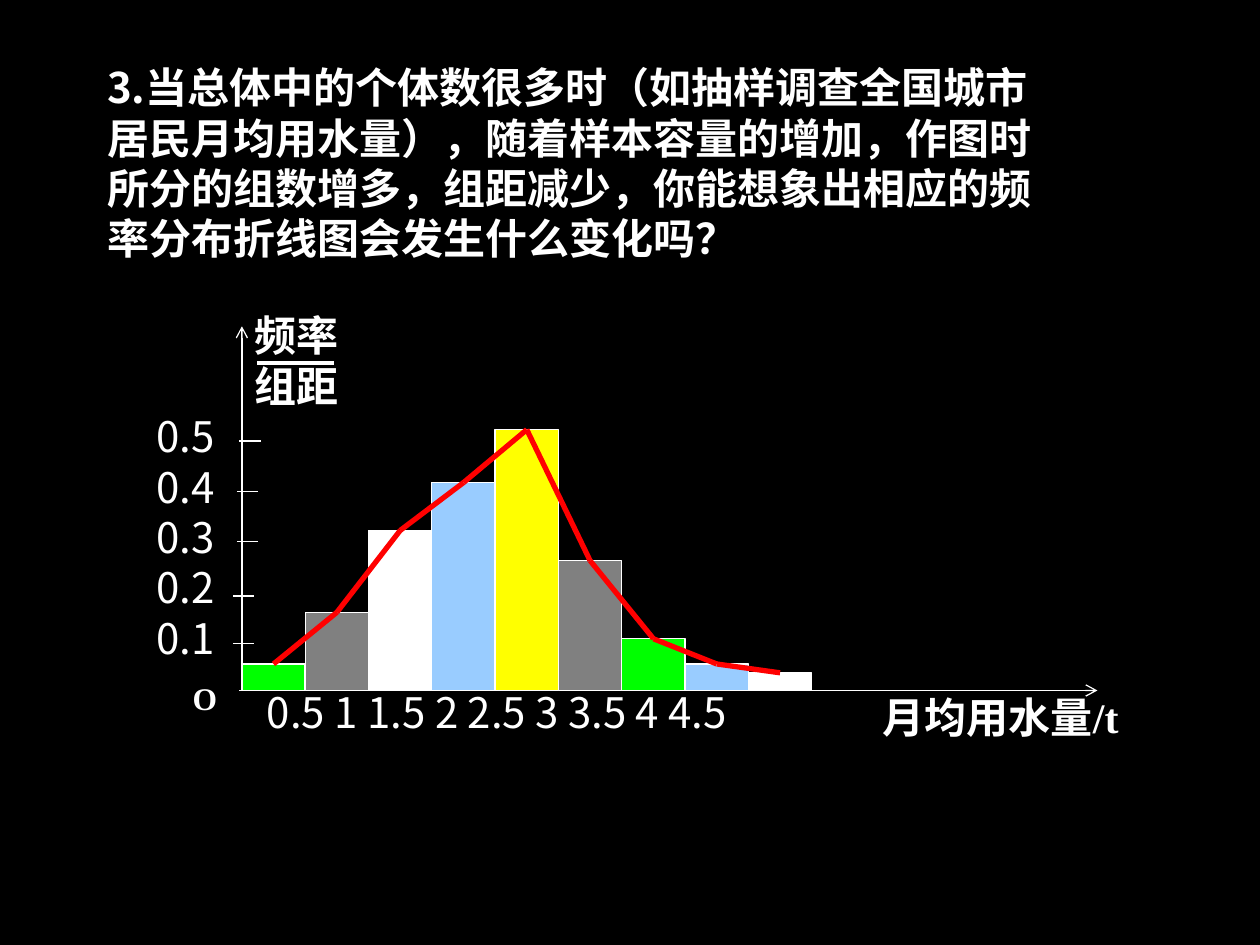
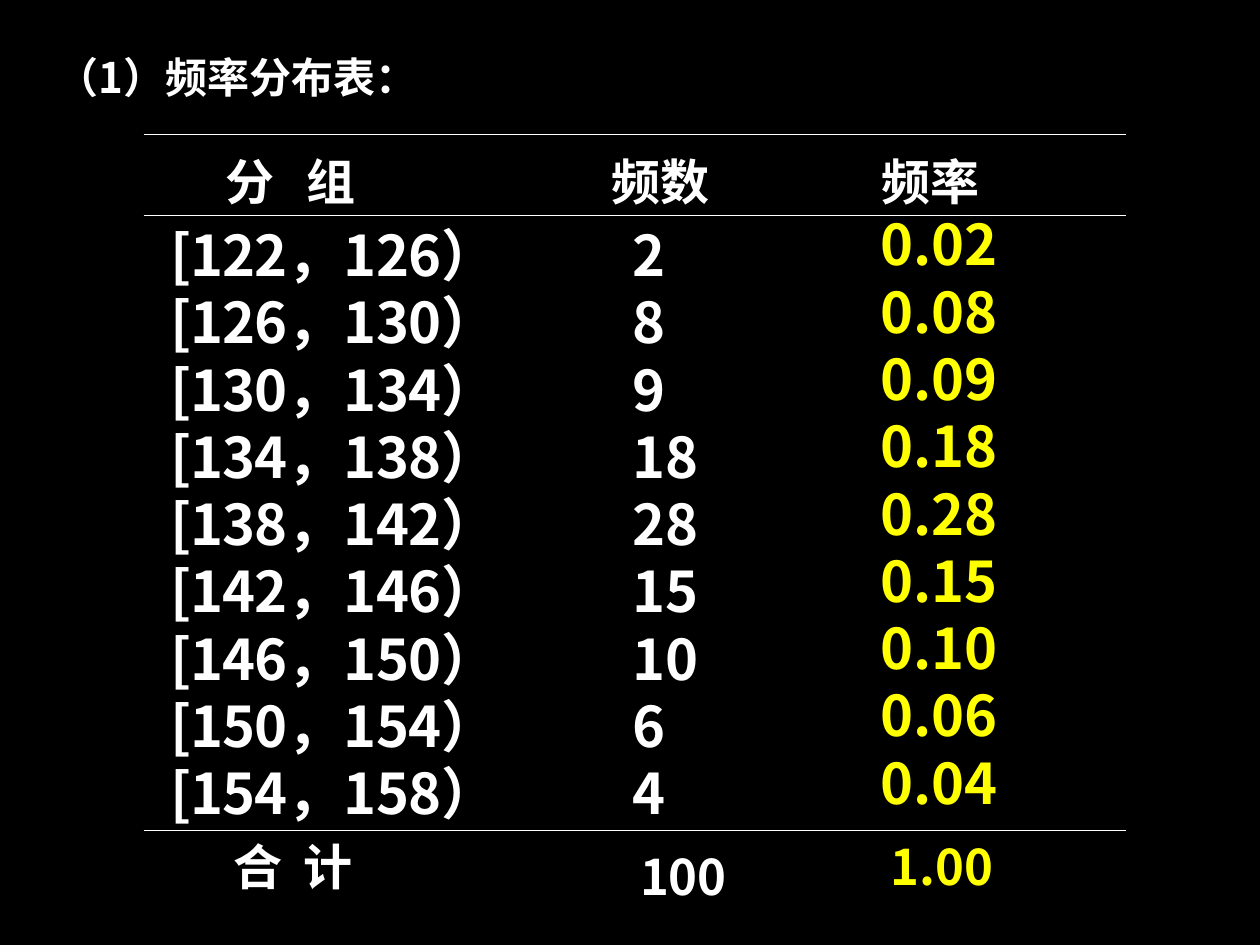
from lxml import etree
from pptx import Presentation
from pptx.dml.color import RGBColor
from pptx.enum.shapes import MSO_CONNECTOR, MSO_SHAPE
from pptx.enum.text import MSO_ANCHOR, MSO_AUTO_SIZE, PP_ALIGN
from pptx.oxml.ns import qn
from pptx.util import Inches, Pt

LINE = MSO_CONNECTOR.STRAIGHT
RECT = MSO_SHAPE.RECTANGLE
TOP, MIDDLE = MSO_ANCHOR.TOP, MSO_ANCHOR.MIDDLE
LEFT = PP_ALIGN.LEFT
FIXED = MSO_AUTO_SIZE.NONE

HUES = {
    "black": "000000", "white": "FFFFFF", "yellow": "FFFF00",
    "blue": "99CCFF", "gray": "808080", "green": "00FF00", "red": "FF0000",
}
SANS, SERIF, ARIAL = "Noto Sans CJK SC", "Times New Roman", "Arial"


def write(frame, lines, size, face=SANS, bold=True, hue="white", gap=0, lead=1.2):
    for i, line in enumerate(lines):
        para = frame.paragraphs[0] if i == 0 else frame.add_paragraph()
        para.alignment = LEFT
        para.line_spacing = Pt(lead * size)
        para.space_before = Pt(0)
        run = para.add_run()
        run.text = line
        run.font.name = face
        run.font.size = Pt(size)
        run.font.bold = bold
        run.font.color.rgb = RGBColor.from_string(HUES[hue])
        if gap:
            run.font._element.set("spc", str(gap))


def draw(slide, x1, y1, x2, y2, width=0.75, hue="white", arrow=False):
    line = slide.shapes.add_connector(
        LINE, Inches(x1), Inches(y1), Inches(x2), Inches(y2))
    line.line.width = Pt(width)
    line.line.color.rgb = RGBColor.from_string(HUES[hue])
    if arrow:
        etree.SubElement(line.line._get_or_add_ln(), qn("a:tailEnd"), type="arrow")
    etree.SubElement(line._element.spPr, qn("a:effectLst"))
    return line


prs = Presentation()
prs.slide_width = Inches(10)
prs.slide_height = Inches(7.5)
back = prs.slide_master.background.fill
back.solid()
back.fore_color.rgb = RGBColor.from_string(HUES["black"])

heads = [
    ("3.当总体中的个体数很多时（如抽样调查全国城市居民月均用水量），"
     "随着样本容量的增加，作图时所分的组数增多，组距减少，"
     "你能想象出相应的频率分布折线图会发生什么变化吗？",
     (0.75, 0.44, 7.76, 1.7)),
    ("（1）频率分布表：", (0.35, 0.36, 4.17, 0.5)),
]
slides = []
for text, place in heads:
    slide = prs.slides.add_slide(prs.slide_layouts[5])
    title = slide.shapes.title
    title.left, title.top, title.width, title.height = map(Inches, place)
    frame = title.text_frame
    frame.word_wrap = True
    frame.auto_size = FIXED
    frame.vertical_anchor = TOP
    write(frame, [text], 24)
    slides.append(slide)
graph, sheet = slides

labels = [
    ((6.91, 5.44, 2.27, 0.62), ["月均用水量/t"], 24, SERIF, True),
    ((1.92, 2.41, 1.01, 1.03), ["频率", "组距"], 24, SERIF, True),
    ((1.14, 3.21, 1.01, 2.27), ["0.5", "0.4", "0.3", "0.2", "0.1"], 24, SANS, False),
    ((2.02, 5.4, 5.41, 0.62), ["0.5 1 1.5 2 2.5 3 3.5 4 4.5"], 24, SANS, False),
    ((1.43, 5.34, 0.5, 0.62), ["O"], 18, SERIF, True),
]
for place, lines, size, face, bold in labels:
    box = graph.shapes.add_textbox(*map(Inches, place))
    box.text_frame.word_wrap = True
    write(box.text_frame, lines, size, face, bold)

base, start, step = 5.48, 1.92, 0.5025
draw(graph, 1.9, base, 8.71, base, arrow=True)
draw(graph, start, base, start, 2.59, arrow=True)
draw(graph, 2.04, 2.88, 2.65, 2.88, 2.25)
for x, y in [(1.9, 3.5), (1.88, 3.9), (1.88, 4.3), (1.85, 4.73), (1.85, 5.11)]:
    draw(graph, x, y, x + 0.17, y)

data = [
    (0.21, "green"), (0.62, "gray"), (1.27, "white"),
    (1.65, "blue"), (2.07, "yellow"), (1.03, "gray"),
    (0.41, "green"), (0.21, "blue"), (0.14, "white"),
]
bars = []
for i, (tall, hue) in enumerate(data):
    bar = graph.shapes.add_shape(
        RECT, Inches(start + i * step), Inches(base - tall), Inches(step), Inches(tall))
    bar.shadow.inherit = False
    bar.fill.solid()
    bar.fill.fore_color.rgb = RGBColor.from_string(HUES[hue])
    bar.line.color.rgb = RGBColor.from_string(HUES["white"])
    bar.line.width = Pt(0.75)
    bars.append(bar)
for near, far in zip(bars, bars[1:]):
    link = draw(graph, 0, 0, 1, 1, 3, "red")
    link.begin_connect(near, 0)
    link.end_connect(far, 0)

counts = [2, 8, 9, 18, 28, 15, 10, 6, 4]
rows = [("分 组", "频数", "频率")]
for i, count in enumerate(counts):
    low = 122 + 4 * i
    rows.append((f"[{low}，{low + 4}）", str(count), f"{count / 100:.2f}"))
rows.append(("合 计", "100", "1.00"))
last = len(rows) - 1

table = sheet.shapes.add_table(
    len(rows), 3, Inches(1.14), Inches(1.15), Inches(7.8), Inches(6.12)).table
table.first_row = False
table.horz_banding = False
for col, width in zip(table.columns, (3.7, 2.05, 2.05)):
    col.width = Inches(width)

for r, row in enumerate(rows):
    tops, feet, lead = (0, 0, 0), (0, 0, 0), (1.2, 1.2, 1.2)
    if r == 0:
        tall, size, pads, gap = 0.64, 28, (0.65, 0.01, 0.11), 600
    elif r == last:
        tall, size, pads, gap = 0.68, 28, (0.71, 0.24, 0.18), 290
        tops, feet = (0, 0.11, 0), (0.05, 0, 0.05)
    else:
        tall, size, pads, gap = 4.8 / len(counts), 32, (0.21, 0.18, 0.1), -50
        feet, lead = (0, 0, 0.08), (1.2, 1.2, 1)
    table.rows[r].height = Inches(tall)
    for c, text in enumerate(row):
        cell = table.cell(r, c)
        cell.margin_left = Inches(pads[c])
        cell.margin_right = 0
        cell.margin_top = Inches(tops[c])
        cell.margin_bottom = Inches(feet[c])
        cell.vertical_anchor = MIDDLE
        cell.fill.background()
        face = ARIAL if r == 0 or (r == last and c == 0) else SANS
        hue = "yellow" if c == 2 and r > 0 else "white"
        write(cell.text_frame, [text], size, face, True, hue,
              gap if c == 0 else 0, lead[c])
        props = cell._tc.get_or_add_tcPr()
        for n, side in enumerate(("lnL", "lnR", "lnT", "lnB")):
            edge = etree.Element(qn("a:" + side))
            etree.SubElement(edge, qn("a:noFill"))
            props.insert(n, edge)

for y in (1.07, 1.71, 6.59):
    draw(sheet, 1.14, y, 8.94, y)

prs.save("out.pptx")
